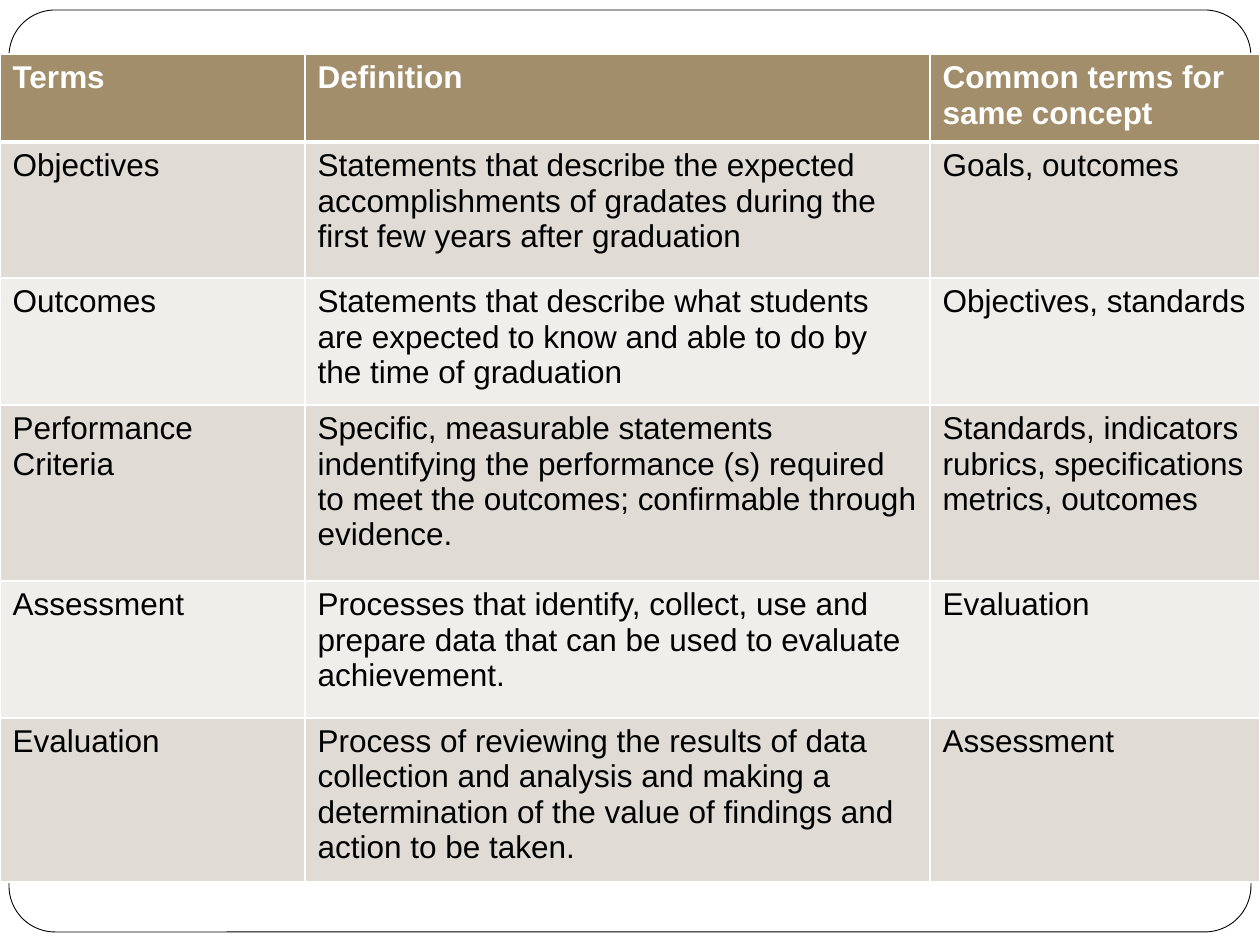
"""Build a slide with a table of assessment terms, definitions and synonyms."""
from dataclasses import dataclass

from lxml import etree
from pptx import Presentation
from pptx import util as u
from pptx.dml import color
from pptx.enum import shapes
from pptx.oxml import ns

SCALE = 914400 / 126
COLORS = {"head": "A28E6A", "dark": "E0DBD4", "light": "F0EEEB",
          "white": "FFFFFF", "black": "000000"}
WIDTHS = (305, 625, 330)


@dataclass(frozen=True)
class Row:
    height: int
    texts: tuple[str, str, str]


ROWS = (
    Row(88, ("Terms", "Definition", "Common terms for same concept")),
    Row(136, ("Objectives",
              "Statements that describe the expected accomplishments of gradates "
              "during the first few years after graduation",
              "Goals, outcomes")),
    Row(127, ("Outcomes",
              "Statements that describe what students are expected to know and "
              "able to do by the time of graduation",
              "Objectives, standards")),
    Row(176, ("Performance Criteria",
              "Specific, measurable statements indentifying the performance (s) "
              "required to meet the outcomes; confirmable through evidence.",
              "Standards, indicators rubrics, specifications metrics, outcomes")),
    Row(137, ("Assessment",
              "Processes that identify, collect, use and prepare data that can "
              "be used to evaluate achievement.",
              "Evaluation")),
    Row(164, ("Evaluation",
              "Process of reviewing the results of data collection and analysis "
              "and making a determination of the value of findings and action "
              "to be taken.",
              "Assessment")),
)


def px(size: int) -> u.Emu:
    return u.Emu(round(size * SCALE))


def rgb(name: str) -> color.RGBColor:
    return color.RGBColor.from_string(COLORS[name])


def paint(fill, name: str) -> None:
    fill.solid()
    fill.fore_color.rgb = rgb(name)


def edge(cell, sides: dict[str, int]) -> None:
    props = cell._tc.get_or_add_tcPr()
    for side, width in sides.items():
        line = etree.SubElement(props, ns.qn(f"a:ln{side}"), w=str(u.Pt(width)))
        solid = etree.SubElement(line, ns.qn("a:solidFill"))
        etree.SubElement(solid, ns.qn("a:srgbClr"), val=COLORS["white"])


def write(cell, words: str, index: int) -> None:
    head = index == 0
    edge(cell, {"L": 1, "R": 1, "T": 3 if index == 1 else 1, "B": 3 if head else 1})
    paint(cell.fill, "head" if head else "dark" if index % 2 else "light")
    cell.text = words
    font = cell.text_frame.paragraphs[0].runs[0].font
    for name, value in {"name": "Arial", "size": u.Pt(18), "bold": head}.items():
        setattr(font, name, value)
    font.color.rgb = rgb("white" if head else "black")


def frame(slide) -> None:
    box = slide.shapes.add_shape(shapes.MSO_SHAPE.ROUNDED_RECTANGLE,
                                 px(9), px(10), px(1242), px(922))
    box.adjustments[0] = 0.05
    box.shadow.inherit = False
    paint(box.fill, "white")
    paint(box.line.fill, "black")
    box.line.width = u.Pt(0.5)


def grid(slide) -> None:
    total = sum(row.height for row in ROWS)
    table = slide.shapes.add_table(len(ROWS), len(WIDTHS), px(0), px(54),
                                   px(sum(WIDTHS)), px(total)).table
    for col, width in zip(table.columns, WIDTHS):
        col.width = px(width)
    for index, row in enumerate(ROWS):
        table.rows[index].height = px(row.height)
        for cell, words in zip(table.rows[index].cells, row.texts):
            write(cell, words, index)


def main() -> None:
    deck = Presentation()
    deck.slide_width, deck.slide_height = px(1260), px(945)
    slide = deck.slides.add_slide(deck.slide_layouts[6])
    frame(slide)
    grid(slide)
    deck.save("out.pptx")


if __name__ == "__main__":
    main()
